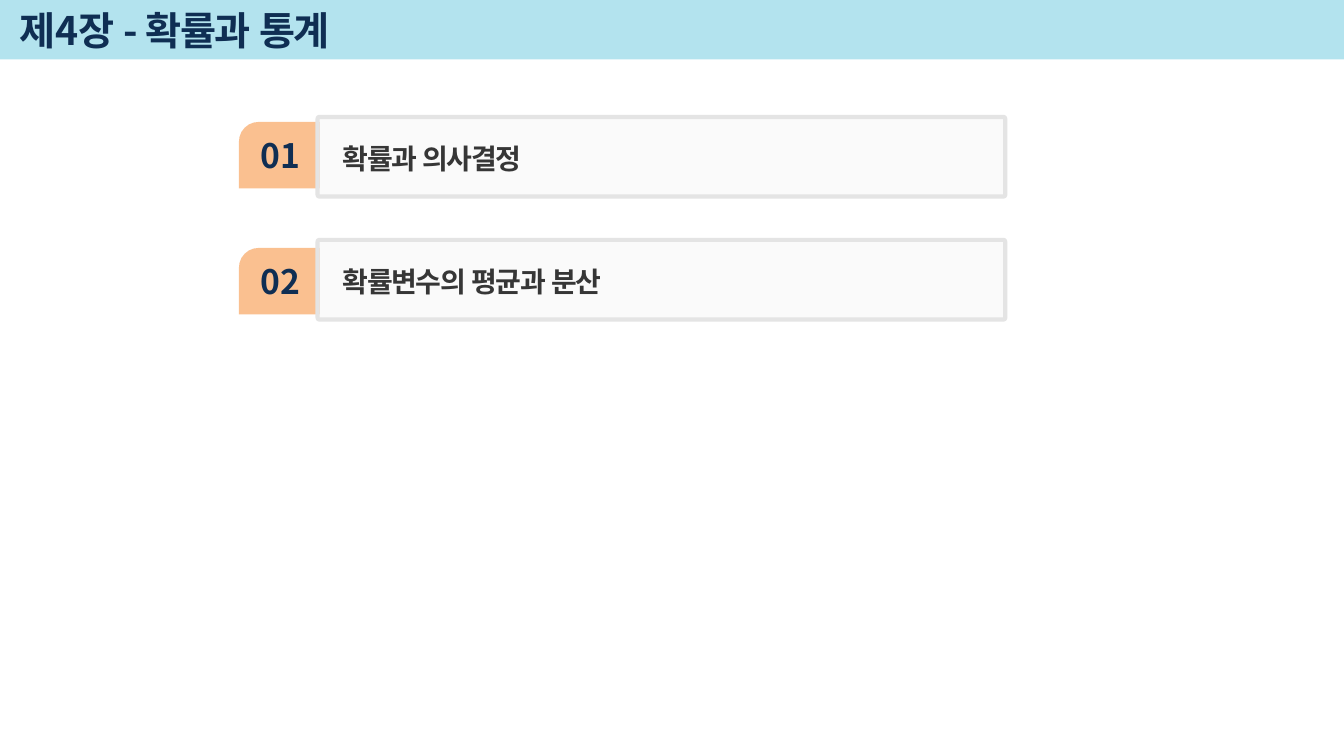
from lxml import etree
from pptx import Presentation
from pptx import util as u
from pptx.dml.color import RGBColor
from pptx.enum import lang, shapes, text
from pptx.oxml.ns import qn

FONT = "Noto Sans CJK KR"
SKY = RGBColor(0xB3, 0xE3, 0xEE)
ORANGE = RGBColor(0xFA, 0xC0, 0x90)
PANEL = RGBColor(0xF2, 0xF2, 0xF2)
BORDER = RGBColor(0xE4, 0xE4, 0xE4)
NAVY = RGBColor(0x0F, 0x2E, 0x53)
CHARCOAL = RGBColor(0x36, 0x36, 0x36)
SHAPE = shapes.MSO_SHAPE

TAB_LEFT, TAB_TOP, TAB_PITCH = 2.37, 1.21, 1.25
PANEL_LEFT, PANEL_TOP, PANEL_PITCH = 3.15, 1.16, 1.22
TOPICS = ["확률과 의사결정", "확률변수의 평균과 분산"]

prs = Presentation()
prs.slide_width, prs.slide_height = u.Inches(13.33), u.Inches(7.5)
s = prs.slides.add_slide(prs.slide_layouts[6])


def add_block(kind, x, y, w, h, color, adjustments=()):
    sp = s.shapes.add_shape(kind, *map(u.Inches, (x, y, w, h)))
    sp.shadow.inherit = False
    sp.fill.solid()
    sp.fill.fore_color.rgb = color
    sp.line.fill.background()
    for n, value in enumerate(adjustments):
        sp.adjustments[n] = value
    return sp


def add_label(words, x, y, w, h, size, color, spacing=0):
    tf = s.shapes.add_textbox(*map(u.Inches, (x, y, w, h))).text_frame
    tf.word_wrap = True
    p = tf.paragraphs[0]
    r = p.add_run()
    r.text = words
    r.font.name, r.font.size, r.font.bold = FONT, u.Pt(size), True
    r.font.color.rgb = color
    r.font.language_id = lang.MSO_LANGUAGE_ID.KOREAN
    rPr = r.font._element
    rPr.set("spc", str(spacing))
    etree.SubElement(rPr, qn("a:ea"), typeface=FONT)
    return tf


add_block(SHAPE.RECTANGLE, 0, -0.02, 13.33, 0.61, SKY)

for i, topic in enumerate(TOPICS):
    tab_y = TAB_TOP + i * TAB_PITCH
    panel_y = PANEL_TOP + i * PANEL_PITCH

    add_block(SHAPE.SNIP_ROUND_RECTANGLE, TAB_LEFT, tab_y, 0.8, 0.66, ORANGE, (0.296, 0))
    tf = add_label(f"{i + 1:02}", TAB_LEFT + 0.12, tab_y + 0.08, 0.59, 0.5, 24, NAVY)
    tf.word_wrap = False
    tf.paragraphs[0].alignment = text.PP_ALIGN.CENTER

    sp = add_block(SHAPE.ROUNDED_RECTANGLE, PANEL_LEFT, panel_y, 6.82, 0.79, PANEL, (0.023,))
    sp.line.color.rgb = BORDER
    sp.line.width = u.Pt(3)
    fill_color = sp._element.spPr.find(qn("a:solidFill"))[0]
    etree.SubElement(fill_color, qn("a:alpha"), val="33000")
    tf = add_label(topic, PANEL_LEFT + 0.15, panel_y + 0.16, 5.28, 0.44, 20, CHARCOAL, -100)
    p = tf.paragraphs[0]
    p.line_spacing = 1.1
    p.space_before, p.space_after = u.Pt(18), u.Pt(3)

tf = add_label("제4장 - 확률과 통계", 0.09, 0.04, 11.35, 0.52, 28, NAVY, -100)
tf.vertical_anchor = text.MSO_ANCHOR.MIDDLE

prs.save("out.pptx")
